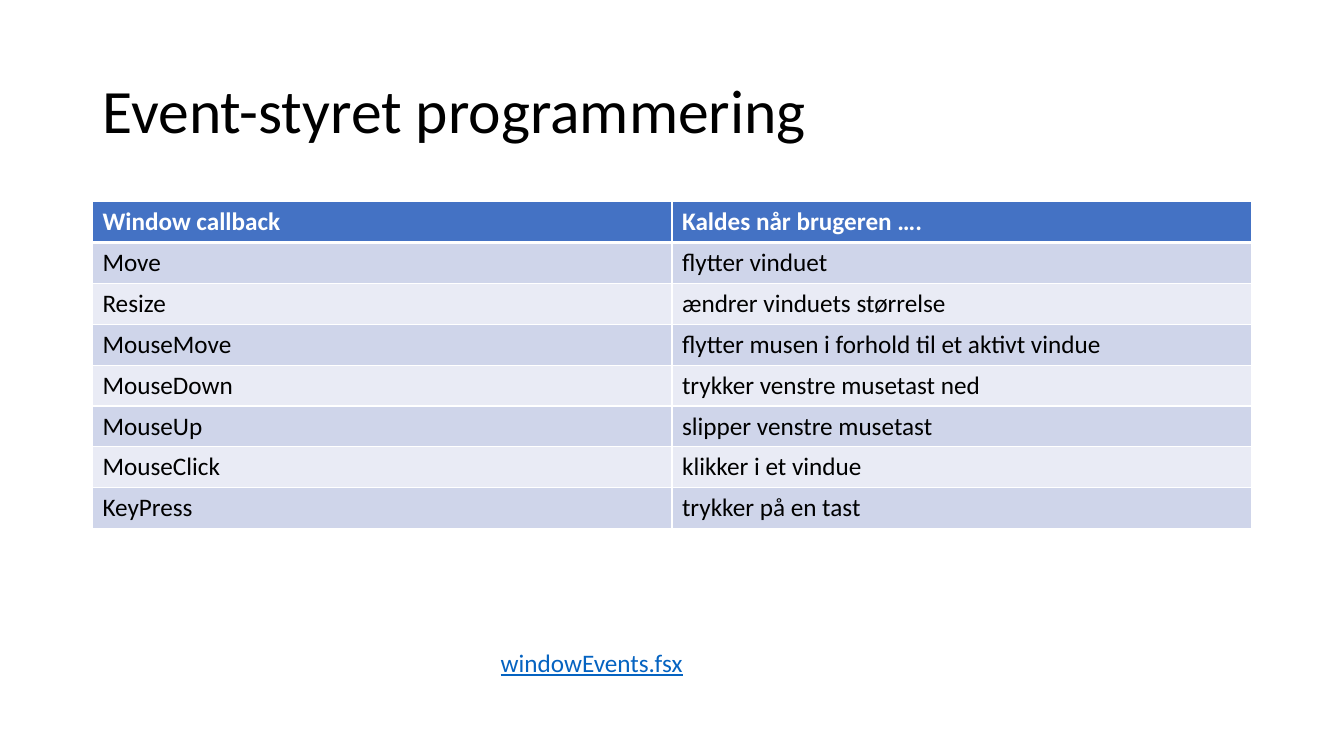
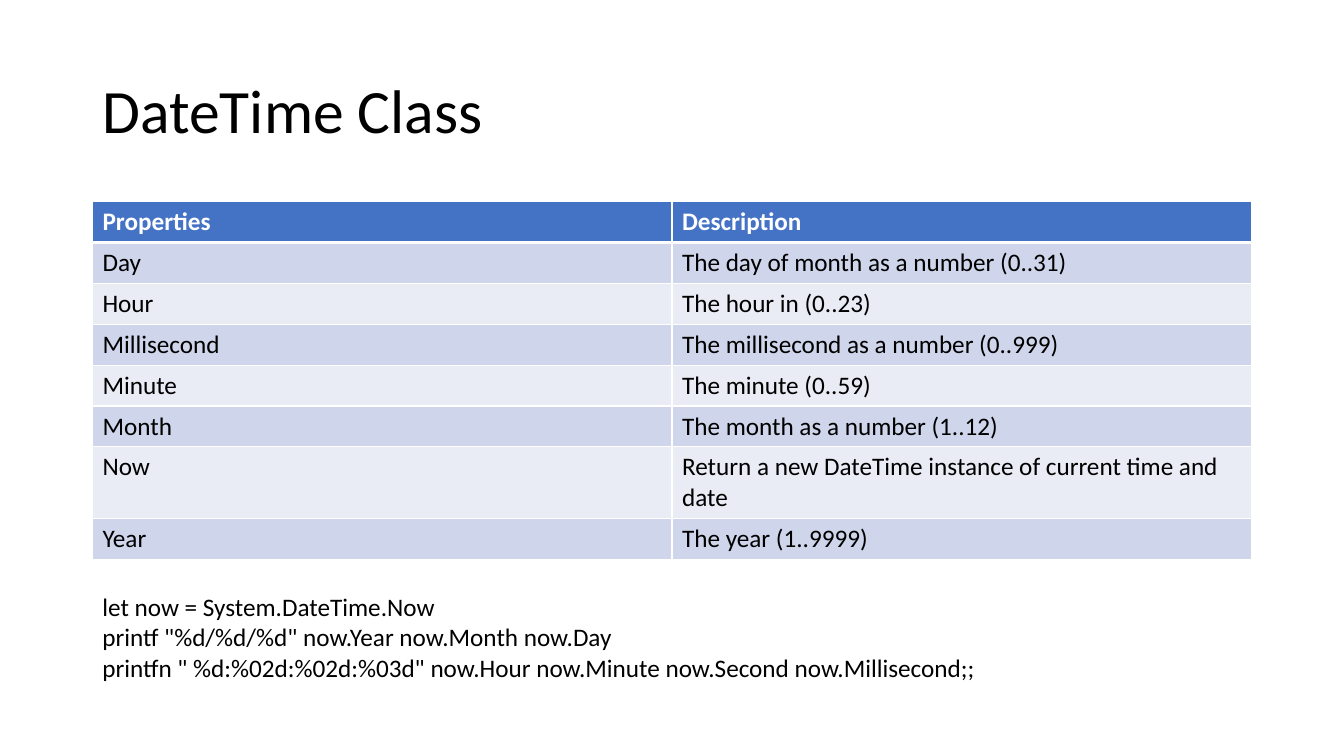
from lxml.etree import SubElement
from pptx import Presentation
from pptx.dml.color import RGBColor
from pptx.enum.text import MSO_ANCHOR
from pptx.oxml.ns import qn
from pptx.util import Cm, Pt

HUES = {
    "white": "FFFFFF",
    "black": "000000",
    "head": "4472C4",
    "dark": "CFD5EA",
    "light": "E9EBF5",
    "link": "0563C1",
}


def hue(name):
    return RGBColor.from_string(HUES[name])


def write(frame, text, size=18, color="black", bold=False, under=False, space=1.0):
    frame.text = text
    for para in frame.paragraphs:
        para.line_spacing = space
        for run in para.runs:
            font = run.font
            font.name = "Calibri"
            font.size = Pt(size)
            font.bold = bold
            font.underline = under
            font.color.rgb = hue(color)


def edge(cell, side, width):
    line = SubElement(cell._tc.get_or_add_tcPr(), qn("a:ln" + side), w=str(Pt(width)))
    fill = SubElement(line, qn("a:solidFill"))
    SubElement(fill, qn("a:srgbClr"), val=HUES["white"])


class Deck:
    left, wide = Cm(2.33), Cm(29.21)

    def __init__(self):
        self.show = Presentation()
        self.show.slide_width = Cm(33.87)
        self.show.slide_height = Cm(19.05)

    def page(self, title):
        self.slide = self.show.slides.add_slide(self.show.slide_layouts[5])
        box = self.slide.shapes.title
        box.left, box.top, box.width, box.height = self.left, Cm(1.01), self.wide, Cm(3.68)
        write(box.text_frame, title, size=44, space=0.9)
        box.text_frame.vertical_anchor = MSO_ANCHOR.MIDDLE
        box.text_frame.word_wrap = True
        for para in box.text_frame.paragraphs:
            para.alignment = 1

    def table(self, rows):
        high = Cm(1.03)
        grid = self.slide.shapes.add_table(
            len(rows), 2, self.left, Cm(5.08), self.wide, high * len(rows)
        ).table
        grid.horz_banding = False
        for at, row in enumerate(rows):
            grid.rows[at].height = high
            top = at == 0
            band = "head" if top else "dark" if at % 2 else "light"
            for col, text in enumerate(row):
                cell = grid.cell(at, col)
                write(cell.text_frame, text, color="white" if top else "black", bold=top)
                edge(cell, "L", 1)
                edge(cell, "R", 1)
                edge(cell, "T", 3 if at == 1 else 1)
                edge(cell, "B", 3 if top else 1)
                cell.fill.solid()
                cell.fill.fore_color.rgb = hue(band)

    def note(self, text, left, top, width, height, **style):
        frame = self.slide.shapes.add_textbox(left, top, width, height).text_frame
        frame.word_wrap = True
        write(frame, text, **style)


deck = Deck()

deck.page("Event-styret programmering")
deck.table([
    ("Window callback", "Kaldes når brugeren …."),
    ("Move", "flytter vinduet"),
    ("Resize", "ændrer vinduets størrelse"),
    ("MouseMove", "flytter musen i forhold til et aktivt vindue"),
    ("MouseDown", "trykker venstre musetast ned"),
    ("MouseUp", "slipper venstre musetast"),
    ("MouseClick", "klikker i et vindue"),
    ("KeyPress", "trykker på en tast"),
])
deck.note("windowEvents.fsx", Cm(12.37), Cm(16.18), Cm(5.2), Cm(1.03),
          color="link", under=True)

deck.page("DateTime Class")
deck.table([
    ("Properties", "Description"),
    ("Day", "The day of month as a number (0..31)"),
    ("Hour", "The hour in (0..23)"),
    ("Millisecond", "The millisecond as a number (0..999)"),
    ("Minute", "The minute (0..59)"),
    ("Month", "The month as a number (1..12)"),
    ("Now", "Return a new DateTime instance of current time and date"),
    ("Year", "The year (1..9999)"),
])
code = [
    "let now = System.DateTime.Now",
    'printf "%d/%d/%d" now.Year now.Month now.Day',
    'printfn " %d:%02d:%02d:%03d" now.Hour now.Minute now.Second now.Millisecond;;',
]
deck.note("\n".join(code), deck.left, Cm(14.78), Cm(22.81), Cm(2.57))

deck.show.save("out.pptx")
